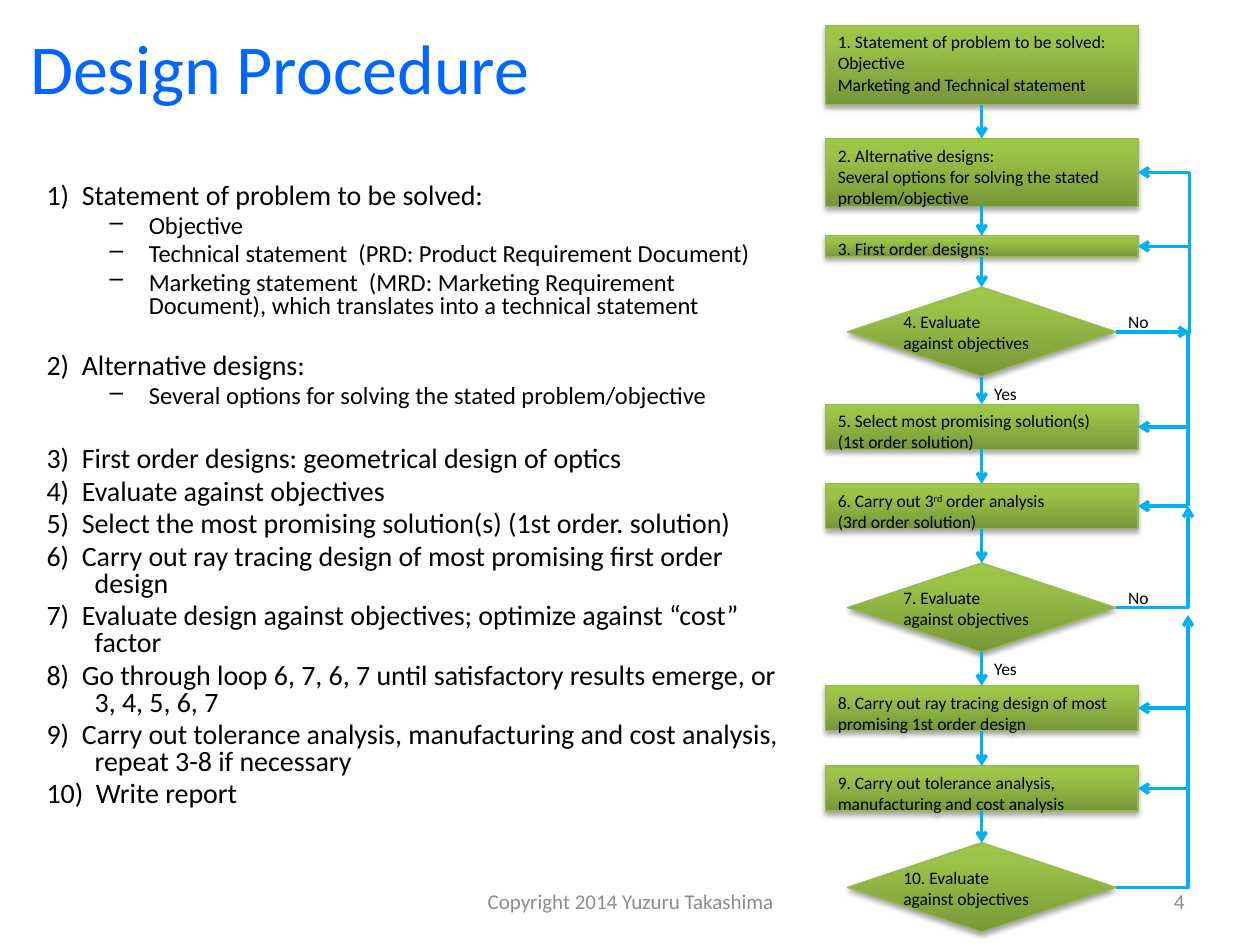
from copy import deepcopy

from lxml import etree
from pptx import Presentation
from pptx import util as u
from pptx.dml.color import RGBColor
from pptx.enum import shapes, text
from pptx.oxml.ns import qn

# Content
COLORS = {"title": "0066FF", "text": "000000", "footer": "8C8C8C",
          "arrow": "00B0F0", "edge": "98B955"}
GRADIENT = [(0, "779737"), (0.8, "9BC348"), (1, "9DC746")]
FONT = "Calibri"

# level, space before in points, text
OUTLINE = [
    (0, 3.2, "1)  Statement of problem to be solved:"),
    (1, 2.8, "Objective"),
    (1, 2.8, "Technical statement  (PRD: Product Requirement Document)"),
    (1, 2.8, "Marketing statement  (MRD: Marketing Requirement Document), "
             "which translates into a technical statement"),
    (0, 19.6, "2)  Alternative designs:"),
    (1, 2.8, "Several options for solving the stated problem/objective"),
    (0, 22, "3)  First order designs: geometrical design of optics"),
    (0, 3.2, "4)  Evaluate against objectives"),
    (0, 3.2, "5)  Select the most promising solution(s) (1st order. solution)"),
    (0, 3.2, "6)  Carry out ray tracing design of most promising first order design"),
    (0, 3.2, "7)  Evaluate design against objectives; optimize against “cost” factor"),
    (0, 3.2, "8)  Go through loop 6, 7, 6, 7 until satisfactory results emerge, or 3, 4, 5, 6, 7"),
    (0, 3.2, "9)  Carry out tolerance analysis, manufacturing and cost analysis, repeat 3-8 if necessary"),
    (0, 3.2, "10)  Write report"),
]
LEVELS = [{"size": 16, "left": 0.97, "hanging": 0.97},
          {"size": 14, "left": 2.06, "hanging": 0.79}]

# kind, top and height in cm, lines (^ encloses superscript)
PROCESS = shapes.MSO_SHAPE.FLOWCHART_PROCESS
DECISION = shapes.MSO_SHAPE.FLOWCHART_DECISION
BOX = shapes.MSO_SHAPE.RECTANGLE
STEPS = [
    (PROCESS, 0.51, 1.6, ["1. Statement of problem to be solved:", "Objective",
                          "Marketing and Technical statement"]),
    (PROCESS, 2.79, 1.37, ["2. Alternative designs:",
                           "Several options for solving the stated problem/objective"]),
    (PROCESS, 4.75, 0.43, ["3. First order designs:"]),
    (DECISION, 5.79, 1.8, ["4. Evaluate", "against objectives"]),
    (BOX, 8.15, 0.91, ["5. Select most promising solution(s)", "(1st order solution)"]),
    (BOX, 9.75, 0.91, ["6. Carry out 3^rd^ order analysis", "(3rd order solution)"]),
    (DECISION, 11.35, 1.8, ["7. Evaluate", "against objectives"]),
    (BOX, 13.82, 0.91, ["8. Carry out ray tracing design of most promising 1st order design"]),
    (BOX, 15.44, 0.91, ["9. Carry out tolerance analysis, manufacturing and cost analysis"]),
    (DECISION, 16.99, 1.8, ["10. Evaluate", "against objectives"]),
]
RETURNS = [3, 5, 6, 8, 9]      # steps entered from the return rail
BRANCHES = [4, 7]              # decisions labelled Yes and No
CENTER, BOX_WIDTH, DIAMOND_WIDTH = 19.79, 6.3, 5.41
RAIL, LOOP_RAIL = 23.95, 23.98
LABEL_DROP = 0.36

presentation = Presentation()
presentation.slide_width, presentation.slide_height = u.Cm(25.4), u.Cm(19.05)
slide = presentation.slides.add_slide(presentation.slide_layouts[6])


def rgb(name):
    return RGBColor.from_string(COLORS.get(name, name))


def write(frame, lines, size=10, color="text", align=text.PP_ALIGN.LEFT,
          anchor=text.MSO_ANCHOR.TOP, spacing=None, wrap=True):
    frame.word_wrap = wrap
    frame.vertical_anchor = anchor
    for index, line in enumerate(lines):
        paragraph = frame.add_paragraph() if index else frame.paragraphs[0]
        paragraph.alignment = align
        if spacing:
            paragraph.line_spacing = spacing
        for part, words in enumerate(line.split("^")):
            run = paragraph.add_run()
            run.text = words
            run.font.name, run.font.size = FONT, u.Pt(size)
            run.font.color.rgb = rgb(color)
            if part % 2:
                run.font._element.set("baseline", "30000")


def add_text(left, top, width, height, lines, **style):
    box = slide.shapes.add_textbox(u.Cm(left), u.Cm(top), u.Cm(width), u.Cm(height))
    write(box.text_frame, lines, **style)
    return box


def add_step(kind, top, height):
    width = DIAMOND_WIDTH if kind == DECISION else BOX_WIDTH
    shape = slide.shapes.add_shape(kind, u.Cm(CENTER - width / 2), u.Cm(top),
                                   u.Cm(width), u.Cm(height))
    shape.line.color.rgb, shape.line.width = rgb("edge"), u.Pt(0.75)
    shape.fill.gradient()
    shape.fill.gradient_angle = 90
    stops = shape._element.spPr.find(qn("a:gradFill")).find(qn("a:gsLst"))
    stops.append(deepcopy(stops[0]))
    for stop, (position, color) in zip(shape.fill.gradient_stops, GRADIENT):
        stop.position, stop.color.rgb = position, rgb(color)
    shape.shadow.inherit = False
    effects = shape._element.spPr.find(qn("a:effectLst"))
    shadow = etree.SubElement(effects, qn("a:outerShdw"), blurRad=str(u.Pt(3.1)),
                              dist=str(u.Pt(1.8)), dir="5400000", rotWithShape="0")
    black = etree.SubElement(shadow, qn("a:srgbClr"), val="000000")
    etree.SubElement(black, qn("a:alpha"), val="35000")
    return shape


def add_line(start, end, kind=shapes.MSO_CONNECTOR.STRAIGHT, arrow=True):
    """Each end is an (x, y) point in cm or a (shape, site) pair."""
    joined = [not isinstance(point[0], (int, float)) for point in (start, end)]
    points = [(0, 0) if join else point for join, point in zip(joined, (start, end))]
    line = slide.shapes.add_connector(kind, *[u.Cm(v) for point in points for v in point])
    if joined[0]:
        line.begin_connect(*start)
    if joined[1]:
        line.end_connect(*end)
    line.line.color.rgb, line.line.width = rgb("arrow"), u.Pt(2)
    if arrow:
        etree.SubElement(line.line._get_or_add_ln(), qn("a:tailEnd"), type="arrow")
    etree.SubElement(line._element.spPr, qn("a:effectLst"))
    return line


def add_elbow(start, end, bend=None):
    """Turn once at the corner, or run out to x = bend and back."""
    line = add_line(start, end, shapes.MSO_CONNECTOR.ELBOW)
    geometry = line._element.spPr.find(qn("a:prstGeom"))
    if bend is None:
        geometry.set("prst", "bentConnector2")
    else:
        ratio = (bend - start[0]) / (end[0] - start[0])
        guides = geometry.find(qn("a:avLst"))
        etree.SubElement(guides, qn("a:gd"), name="adj1", fmla=f"val {round(ratio * 100000)}")


# Title and footer
add_text(0.36, 0.36, 15.67, 2.72, ["Design Procedure"], size=40, color="title")
footer = {"size": 12, "color": "footer", "anchor": text.MSO_ANCHOR.MIDDLE}
add_text(8.69, 17.65, 8.05, 1.02, ["Copyright 2014 Yuzuru Takashima"],
         align=text.PP_ALIGN.CENTER, **footer)
add_text(18.21, 17.65, 5.92, 1.02, ["4"], align=text.PP_ALIGN.RIGHT, **footer)

# Outline
outline = add_text(0.69, 3.58, 15.49, 13.87, [item[2] for item in OUTLINE], spacing=0.8)
for paragraph, (level, gap, _) in zip(outline.text_frame.paragraphs, OUTLINE):
    style = LEVELS[level]
    paragraph.level, paragraph.space_before = level, u.Pt(gap)
    paragraph.runs[0].font.size = u.Pt(style["size"])
    properties = paragraph._p.get_or_add_pPr()
    properties.set("marL", str(u.Cm(style["left"])))
    properties.set("indent", str(-u.Cm(style["hanging"])))
    if level:
        etree.SubElement(properties, qn("a:buChar"), char="–")

# Flowchart steps, with the arrows from each to the next
steps = {number: add_step(*step[:3]) for number, step in enumerate(STEPS, 1)}
middle = {number: top + height / 2 for number, (_, top, height, _) in enumerate(STEPS, 1)}
for number in range(1, len(STEPS)):
    add_line((steps[number], 2), (steps[number + 1], 0))

# Return paths
diamond_right = CENTER + DIAMOND_WIDTH / 2
box_right = CENTER + BOX_WIDTH / 2
add_elbow((diamond_right, middle[4]), (box_right, middle[2]), bend=LOOP_RAIL)
add_elbow((diamond_right, middle[7]), (RAIL, middle[6]))
add_elbow((diamond_right, middle[10]), (RAIL, 12.4))
add_line((RAIL, middle[6]), (RAIL, middle[4]), arrow=False)
add_line((steps[4], 3), (LOOP_RAIL, middle[4]))
for number in RETURNS:
    add_line((RAIL, middle[number]), (steps[number], 3))

# Step wording and branch labels
for number, (kind, top, height, lines) in enumerate(STEPS, 1):
    if kind == DECISION:
        add_text(17.96, top + LABEL_DROP, 3.63, 1.55, lines)
    else:
        write(steps[number].text_frame, lines, spacing=0.8 if len(lines) == 1 and height < 0.5 else None)
    if number in BRANCHES:
        add_text(CENTER, top + height, 1.12, 0.69, ["Yes"], wrap=False)
        add_text(diamond_right, top + LABEL_DROP, 0.97, 0.69, ["No"], wrap=False)

presentation.save("out.pptx")
